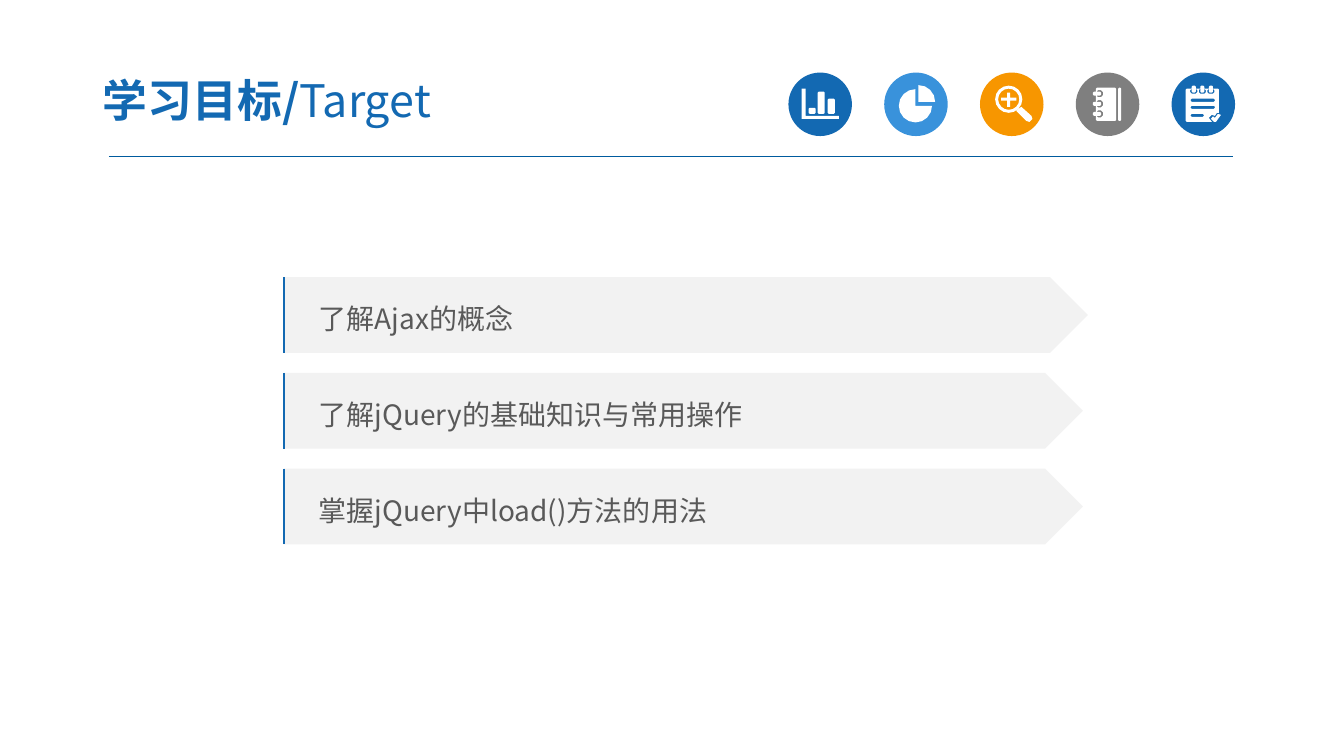
from dataclasses import dataclass
from math import cos, radians, sin

from lxml import etree
from pptx import Presentation
from pptx.dml.color import RGBColor
from pptx.enum.shapes import MSO_CONNECTOR, MSO_SHAPE
from pptx.enum.text import MSO_ANCHOR, MSO_AUTO_SIZE, PP_ALIGN
from pptx.oxml.ns import qn
from pptx.util import Inches, Pt

STRAIGHT = MSO_CONNECTOR.STRAIGHT
OVAL = MSO_SHAPE.OVAL
PENTAGON = MSO_SHAPE.PENTAGON
MIDDLE = MSO_ANCHOR.MIDDLE
LEFT = PP_ALIGN.LEFT
NO_AUTOFIT = MSO_AUTO_SIZE.NONE


@dataclass(frozen=True)
class Theme:
    font: str = "Noto Sans CJK SC"
    blue: str = "1369B2"
    sky: str = "3992DB"
    orange: str = "F79600"
    grey: str = "7F7F7F"
    rule: str = "005B9E"
    panel: str = "F2F2F2"
    body: str = "595959"
    white: str = "FFFFFF"
    title_size: int = 32
    body_size: int = 20


THEME = Theme()


def add_run(paragraph, text, size, color, bold=False):
    run = paragraph.add_run()
    run.text = text
    run.font.name = THEME.font
    run.font.size = Pt(size)
    run.font.bold = bold
    run.font.color.rgb = RGBColor.from_string(color)
    properties = run.font._element
    east_asian = etree.Element(qn("a:ea"), typeface=THEME.font)
    properties.find(qn("a:latin")).addnext(east_asian)


def fill_plain(shape, color):
    shape.shadow.inherit = False
    shape.fill.solid()
    shape.fill.fore_color.rgb = RGBColor.from_string(color)
    shape.line.fill.background()


def add_line(slide, start, end, color, width):
    connector = slide.shapes.add_connector(
        STRAIGHT, *(Inches(value) for value in (*start, *end)))
    connector.line.color.rgb = RGBColor.from_string(color)
    connector.line.width = Pt(width)
    etree.SubElement(connector._element.spPr, qn("a:effectLst"))


def arc(center_x, center_y, radius, start, end, steps):
    angles = [radians(start + (end - start) * step / steps) for step in range(steps + 1)]
    return [(center_x + radius * cos(angle), center_y + radius * sin(angle))
            for angle in angles]


def beveled(left, top, width, height, cut):
    right, bottom = left + width, top + height
    return [(left + cut, top), (right - cut, top), (right, top + cut),
            (right, bottom - cut), (right - cut, bottom), (left + cut, bottom),
            (left, bottom - cut), (left, top + cut)]


def chart_glyph():
    axes = [(13, 16), (17, 16), (17, 43), (50, 43), (50, 46), (13, 46)]
    bars = [(20, 35), (29, 19), (39, 26)]
    return [axes] + [beveled(left, top, 7, 41 - top, 1) for left, top in bars]


def pie_glyph():
    return [[(31, 33)] + arc(31, 33, 16.5, 0, 270, 12),
            [(34, 29)] + arc(34, 29, 16.5, 270, 360, 4)]


def search_glyph():
    handle = [(36, 38), (46, 48), (49, 49), (52, 46), (51, 43), (41, 34)]
    plus = [(27, 20), (30, 20), (30, 25), (36, 25), (36, 28), (30, 28),
            (30, 34), (27, 34), (27, 28), (21, 28), (21, 25), (27, 25)]
    rings = [arc(28.5, 26.5, radius, 0, 360, 16) for radius in (13.5, 10.5)]
    return rings + [plus, handle]


def notebook_glyph():
    contours = [beveled(20, 15, 20, 33, 1), beveled(42, 15, 3, 33, 1)]
    for center in (21, 31, 41):
        contours.append(beveled(20, center - 3.5, 7, 7, 2))
        contours.append(beveled(17, center - 2, 8, 4, 1))
    return contours


def notes_glyph():
    pad = [(14, 17), (15, 16), (46, 16), (47, 17), (47, 40), (45, 40), (43, 43),
           (40, 42), (37, 45), (40, 49), (15, 49), (14, 48)]
    check = [(39, 46), (41, 43.5), (43, 45), (46, 41), (49, 42), (44, 49), (42, 49)]
    contours = [pad, check]
    for top, width in ((26, 24), (33, 24), (41, 13)):
        contours.append(beveled(19, top, width, 3, 1))
    for center in (22, 30.5, 39):
        contours.append(beveled(center - 3.5, 16, 7, 5, 1.5))
        contours.append(beveled(center - 2, 13, 4, 7, 1))
    return contours


def add_badge(slide, left, top, size, color, contours):
    badge = slide.shapes.add_shape(
        OVAL, Inches(left), Inches(top), Inches(size), Inches(size))
    fill_plain(badge, color)
    placed = [[(Inches(left + x / 100), Inches(top + y / 100)) for x, y in contour]
              for contour in contours]
    builder = slide.shapes.build_freeform(*placed[0][0])
    builder.add_line_segments(placed[0][1:])
    for contour in placed[1:]:
        builder.move_to(*contour[0])
        builder.add_line_segments(contour[1:])
    fill_plain(builder.convert_to_shape(), THEME.white)


def add_badges(slide, left, top, size, pitch):
    badges = [(THEME.blue, chart_glyph), (THEME.sky, pie_glyph),
              (THEME.orange, search_glyph), (THEME.grey, notebook_glyph),
              (THEME.blue, notes_glyph)]
    for index, (color, glyph) in enumerate(badges):
        add_badge(slide, left + index * pitch, top, size, color, glyph())


def add_title(slide, left, top, width, height):
    title = slide.shapes.title
    title.left, title.top = Inches(left), Inches(top)
    title.width, title.height = Inches(width), Inches(height)
    frame = title.text_frame
    frame.auto_size = NO_AUTOFIT
    frame.word_wrap = True
    frame.vertical_anchor = MIDDLE
    frame.margin_left = frame.margin_right = Inches(0.13)
    frame.margin_top = frame.margin_bottom = Inches(0.07)
    paragraph = frame.paragraphs[0]
    paragraph.alignment = LEFT
    add_run(paragraph, "学习目标/", THEME.title_size, THEME.blue, True)
    add_run(paragraph, "Target", THEME.title_size, THEME.blue)


def add_goal(slide, left, top, width, height, text):
    banner = slide.shapes.add_shape(
        PENTAGON, Inches(left), Inches(top), Inches(width), Inches(height))
    fill_plain(banner, THEME.panel)
    frame = banner.text_frame
    frame.word_wrap = True
    frame.vertical_anchor = MIDDLE
    frame.margin_left = Inches(0.35)
    paragraph = frame.paragraphs[0]
    paragraph.alignment = LEFT
    paragraph.line_spacing = 1.2
    add_run(paragraph, text, THEME.body_size, THEME.body)
    edge = left + 0.01
    add_line(slide, (edge, top), (edge, top + height), THEME.blue, 1.5)


def add_goals(slide, left, top, height, pitch):
    goals = [("了解Ajax的概念", 7.98), ("了解jQuery的基础知识与常用操作", 7.93),
             ("掌握jQuery中load()方法的用法", 7.93)]
    for index, (text, width) in enumerate(goals):
        add_goal(slide, left, top + index * pitch, width, height, text)


def main():
    presentation = Presentation()
    presentation.slide_width = Inches(13.33)
    presentation.slide_height = Inches(7.5)
    slide = presentation.slides.add_slide(presentation.slide_layouts[5])
    add_line(slide, (1.08, 1.55), (12.23, 1.55), THEME.rule, 0.75)
    add_badges(slide, 7.82, 0.72, 0.63, 0.95)
    add_title(slide, 0.89, 0.63, 5.22, 0.72)
    add_goals(slide, 2.81, 2.75, 0.75, 0.95)
    presentation.save("out.pptx")


if __name__ == "__main__":
    main()
